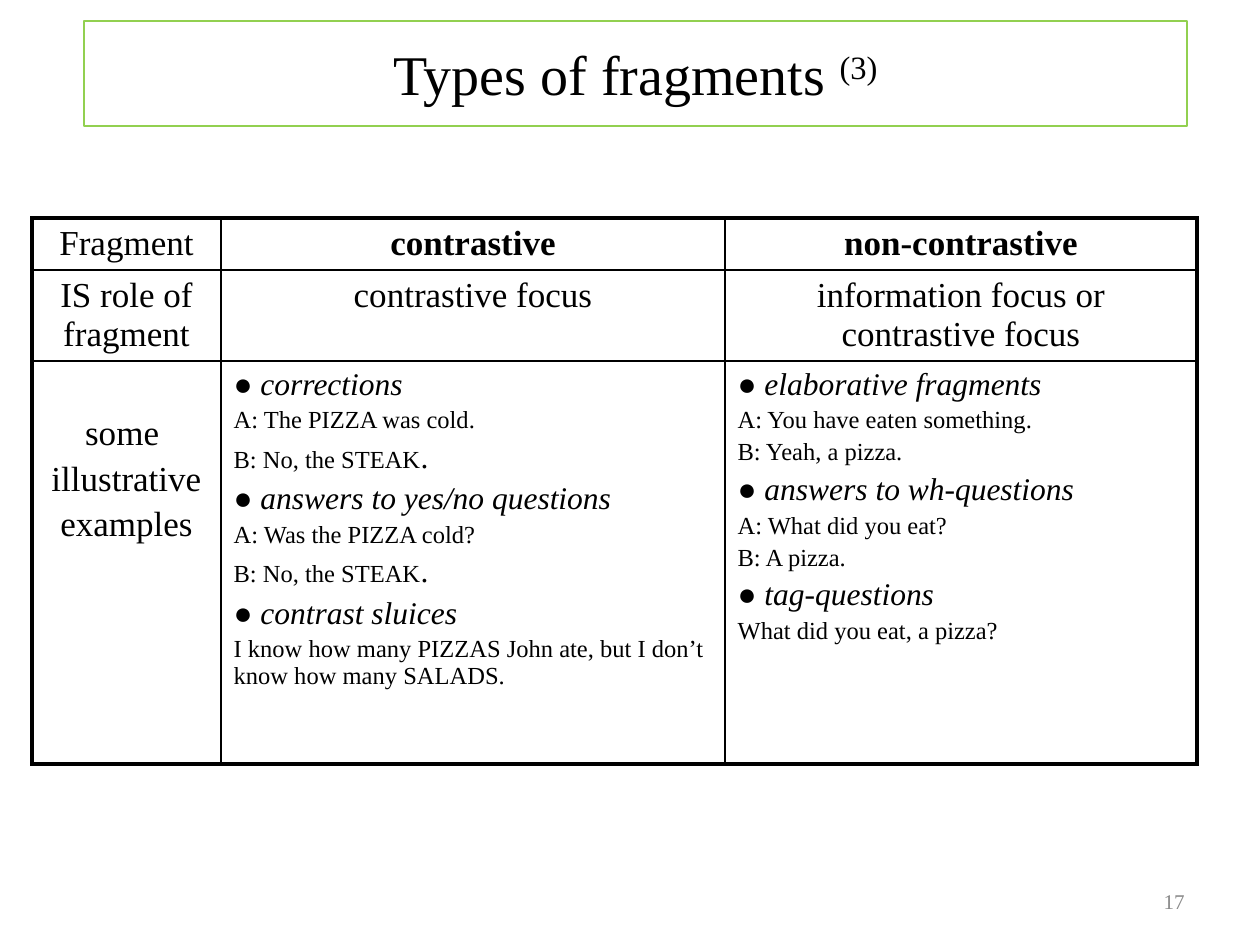
"""Build the slide that sorts sentence fragments into contrastive and non-contrastive."""
from dataclasses import dataclass

from lxml import etree
from pptx import Presentation
from pptx.dml.color import RGBColor
from pptx.enum.shapes import MSO_SHAPE
from pptx.enum.text import MSO_ANCHOR, PP_ALIGN
from pptx.oxml.ns import qn
from pptx.util import Emu, Pt

RECTANGLE = MSO_SHAPE.RECTANGLE
MIDDLE = MSO_ANCHOR.MIDDLE
LEFT, CENTER, RIGHT = PP_ALIGN.LEFT, PP_ALIGN.CENTER, PP_ALIGN.RIGHT


@dataclass(frozen=True)
class Theme:
    font: str = "Times New Roman"
    ink: str = "000000"
    frame: str = "92D050"
    muted: str = "898989"
    title: int = 32
    label: int = 20
    topic: int = 18
    example: int = 14
    number: int = 12
    outer: float = 2.25
    inner: float = 1
    outline: float = 0.75
    gap: float = 0.2


THEME = Theme()
PX = 914400 / 126
SLIDE = (1260, 945)
TITLE_BOX = (84, 21, 1103, 105)
NUMBER_BOX = (903, 876, 294, 50)
TABLE_ORIGIN = (32, 218)
COLUMNS = (189, 504, 472)
ROWS = (52, 91, 403)
EXAMPLES_LABEL_TOP = 53

TITLE, TITLE_INDEX = "Types of fragments ", "(3)"
PAGE_NUMBER = "17"
BULLET = "●"
LARGE_STOP = "B: No, the STEAK."
CELLS = (
    (("Fragment",), ("contrastive",), ("non-contrastive",)),
    (("IS role of fragment",), ("contrastive focus",),
     ("information focus or contrastive focus",)),
    (
        ("some ", "illustrative", "examples"),
        (
            "● corrections",
            "A: The PIZZA was cold.",
            LARGE_STOP,
            "● answers to yes/no questions",
            "A: Was the PIZZA cold?",
            LARGE_STOP,
            "● contrast sluices",
            "I know how many PIZZAS John ate, but I don’t know how many SALADS.",
        ),
        (
            "● elaborative fragments",
            "A: You have eaten something.",
            "B: Yeah, a pizza.",
            "● answers to wh-questions",
            "A: What did you eat?",
            "B: A pizza.",
            "● tag-questions",
            "What did you eat, a pizza?",
        ),
    ),
)


def px(length):
    return Emu(round(length * PX))


def style(para, size, align, color=THEME.ink, bold=False, italic=False):
    para.alignment = align
    font = para.font
    font.name, font.size = THEME.font, Pt(size)
    font.bold, font.italic = bold, italic
    font.color.rgb = RGBColor.from_string(color)


def add_span(para, text):
    span = para.add_run()
    span.text = text
    return span


def add_title(page):
    box = page.shapes.add_shape(RECTANGLE, *map(px, TITLE_BOX))
    box.shadow.inherit = False
    box.fill.background()
    box.line.color.rgb = RGBColor.from_string(THEME.frame)
    box.line.width = Pt(THEME.outline)
    box.text_frame.vertical_anchor = MIDDLE
    para = box.text_frame.paragraphs[0]
    style(para, THEME.title, CENTER)
    add_span(para, TITLE)
    index = add_span(para, TITLE_INDEX)
    index._r.get_or_add_rPr().set("baseline", "30000")


def add_number(page):
    frame = page.shapes.add_textbox(*map(px, NUMBER_BOX)).text_frame
    frame.word_wrap = True
    frame.vertical_anchor = MIDDLE
    para = frame.paragraphs[0]
    style(para, THEME.number, RIGHT, THEME.muted)
    add_span(para, PAGE_NUMBER)


def set_borders(cell, row, column):
    on_edge = {
        "L": column == 0,
        "R": column == len(COLUMNS) - 1,
        "T": row == 0,
        "B": row == len(ROWS) - 1,
    }
    properties = cell._tc.get_or_add_tcPr()
    for side, outer in on_edge.items():
        width = Pt(THEME.outer if outer else THEME.inner)
        line = etree.SubElement(properties, qn(f"a:ln{side}"), w=str(int(width)))
        fill = etree.SubElement(line, qn("a:solidFill"))
        etree.SubElement(fill, qn("a:srgbClr"), val=THEME.ink)


def fill_cell(cell, texts, row, column):
    is_example = row == len(ROWS) - 1 and column > 0
    frame = cell.text_frame
    for position, text in enumerate(texts):
        para = frame.add_paragraph() if position else frame.paragraphs[0]
        is_topic = text.startswith(BULLET)
        tallest = size = THEME.label
        if is_example:
            tallest = size = THEME.topic if is_topic else THEME.example
        style(para, size, LEFT if is_example else CENTER,
              bold=row == 0 and column > 0, italic=is_topic)
        if text == LARGE_STOP:
            tallest = THEME.topic
            add_span(para, text[:-1])
            add_span(para, text[-1]).font.size = Pt(tallest)
        else:
            add_span(para, text)
        para.space_before = Pt(tallest * THEME.gap if position else 0)


def add_fragment_table(page):
    size = (sum(COLUMNS), sum(ROWS))
    table = page.shapes.add_table(
        len(ROWS), len(COLUMNS), *map(px, TABLE_ORIGIN + size)).table
    table.first_row = table.horz_banding = False
    for column, width in zip(table.columns, COLUMNS):
        column.width = px(width)
    for row, height in zip(table.rows, ROWS):
        row.height = px(height)
    for row, line in enumerate(CELLS):
        for column, texts in enumerate(line):
            cell = table.cell(row, column)
            set_borders(cell, row, column)
            cell.fill.background()
            fill_cell(cell, texts, row, column)
    table.cell(len(ROWS) - 1, 0).margin_top = px(EXAMPLES_LABEL_TOP)


def main():
    deck = Presentation()
    deck.slide_width, deck.slide_height = map(px, SLIDE)
    page = deck.slides.add_slide(deck.slide_layouts[6])
    add_fragment_table(page)
    add_title(page)
    add_number(page)
    deck.save("out.pptx")


if __name__ == "__main__":
    main()
